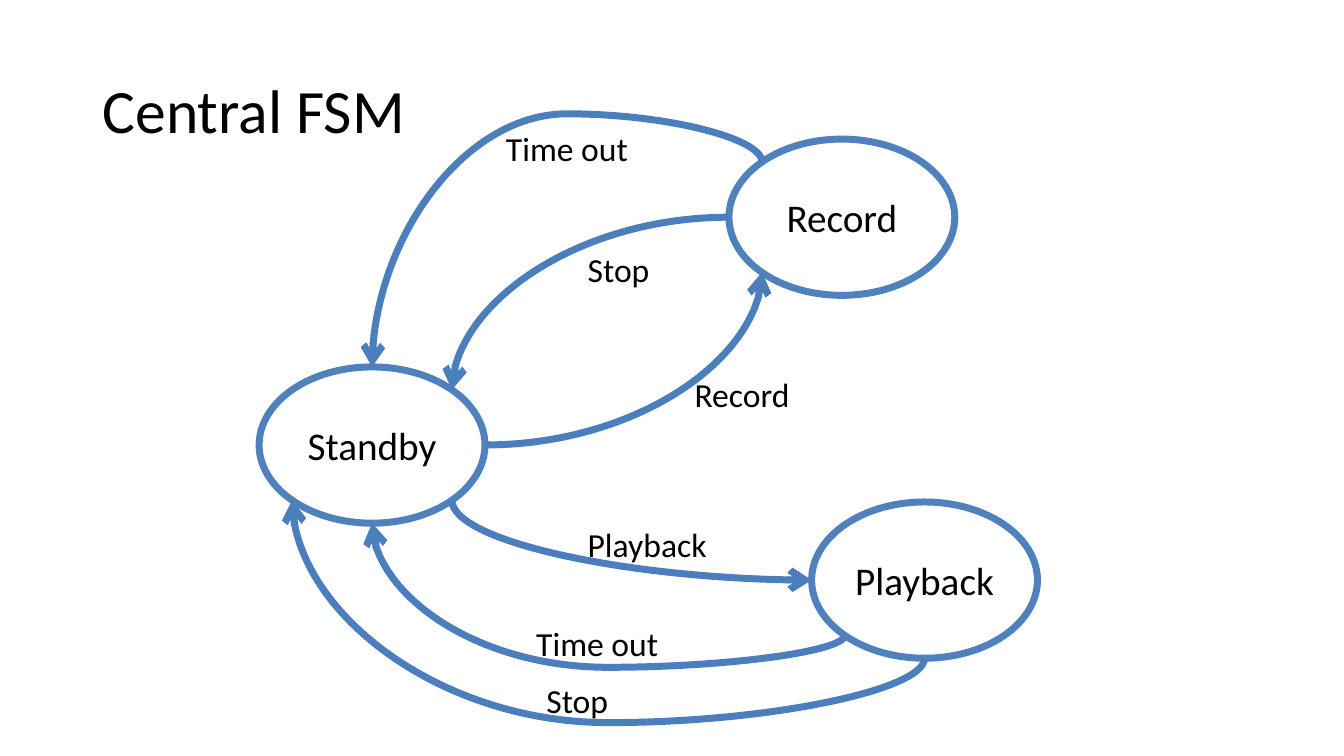
import math

import lxml.etree
import pptx
import pptx.dml.color
import pptx.enum.shapes
import pptx.enum.text
import pptx.oxml.ns
import pptx.util

Inches = pptx.util.Inches
qn = pptx.oxml.ns.qn

BLACK = pptx.dml.color.RGBColor(0x00, 0x00, 0x00)
WHITE = pptx.dml.color.RGBColor(0xFF, 0xFF, 0xFF)
STATE_BLUE = pptx.dml.color.RGBColor(0x4F, 0x81, 0xBD)
ARROW_BLUE = pptx.dml.color.RGBColor(0x4B, 0x7E, 0xBC)

STATE_WIDTH, STATE_HEIGHT = 2.24, 1.55
LINE_WIDTH = pptx.util.Pt(5)
SITES = ["top", "top left", "left", "bottom left",
         "bottom", "bottom right", "right", "top right"]

STATES = {"Standby": (2.57, 3.64), "Record": (7.23, 1.38), "Playback": (8.05, 4.98)}

TRANSITIONS = [
    ("Record", "top left", "Standby", "top", 1.13),
    ("Record", "left", "Standby", "top right", None),
    ("Playback", "bottom", "Standby", "bottom left", 7.17),
    ("Standby", "right", "Record", "bottom left", None),
    ("Standby", "bottom right", "Playback", "left", None),
    ("Playback", "bottom left", "Standby", "bottom", 6.62),
]

LABELS = [
    ("Time out", 4.92, 1.22),
    ("Stop", 5.73, 2.42),
    ("Record", 6.79, 3.66),
    ("Playback", 5.73, 5.15),
    ("Time out", 5.22, 6.13),
    ("Stop", 5.32, 6.7),
]


def write_text(shape, text, size, align=pptx.enum.text.PP_ALIGN.LEFT,
               anchor=pptx.enum.text.MSO_ANCHOR.TOP, spacing=None):
    frame = shape.text_frame
    frame.word_wrap = True
    frame.vertical_anchor = anchor
    para = frame.paragraphs[0]
    para.alignment = align
    para.line_spacing = spacing
    span = para.add_run()
    span.text = text
    span.font.name = "Calibri"
    span.font.size = pptx.util.Pt(size)
    span.font.color.rgb = BLACK


def add_text(page, box, text, **text_format):
    shape = page.shapes.add_textbox(*map(Inches, box))
    write_text(shape, text, **text_format)


def add_state(page, name, left, top):
    state = page.shapes.add_shape(
        pptx.enum.shapes.MSO_SHAPE.OVAL, Inches(left), Inches(top),
        Inches(STATE_WIDTH), Inches(STATE_HEIGHT))
    state.shadow.inherit = False
    state.fill.solid()
    state.fill.fore_color.rgb = WHITE
    state.line.color.rgb = STATE_BLUE
    state.line.width = LINE_WIDTH
    write_text(state, name, size=28, align=pptx.enum.text.PP_ALIGN.CENTER,
               anchor=pptx.enum.text.MSO_ANCHOR.MIDDLE)
    return state


def site_point(name, site):
    left, top = STATES[name]
    angle = math.radians(90 + 45 * SITES.index(site))
    return (left + STATE_WIDTH / 2 * (1 + math.cos(angle)),
            top + STATE_HEIGHT / 2 * (1 - math.sin(angle)))


def add_transition(page, states, source, source_site, target, target_site, bend):
    start_x, start_y = site_point(source, source_site)
    end_x, end_y = site_point(target, target_site)
    across, down = end_x - start_x, end_y - start_y
    width, height = abs(across), abs(down)
    flip_h = source_site not in ("left", "right")
    if flip_h:
        width, height = height, width
        rotation = 270 if down > 0 else 90
        flip_v = (across < 0) == (down > 0)
    else:
        rotation = 0 if across > 0 else 180
        flip_v = (down < 0) != (across < 0)
    left = (start_x + end_x - width) / 2
    top = (start_y + end_y - height) / 2

    arrow = page.shapes.add_connector(
        pptx.enum.shapes.MSO_CONNECTOR.CURVE, Inches(left), Inches(top),
        Inches(left + width), Inches(top + height))
    arrow.line.color.rgb = ARROW_BLUE
    arrow.line.width = LINE_WIDTH

    element = arrow._element
    properties = element.spPr
    transform = properties.find(qn("a:xfrm"))
    transform.set("rot", str(rotation * 60000))
    transform.set("flipH", str(int(flip_h)))
    transform.set("flipV", str(int(flip_v)))
    geometry = properties.find(qn("a:prstGeom"))
    geometry.set("prst", "curvedConnector2" if bend is None else "curvedConnector3")
    if bend is not None:
        share = round((bend - start_y) / down * 100000)
        guide = lxml.etree.SubElement(geometry.find(qn("a:avLst")), qn("a:gd"))
        guide.set("name", "adj1")
        guide.set("fmla", f"val {share}")
    head = lxml.etree.SubElement(properties.find(qn("a:ln")), qn("a:tailEnd"))
    head.set("type", "arrow")
    lxml.etree.SubElement(properties, qn("a:effectLst"))

    links = next(element.iter(qn("p:cNvCxnSpPr")))
    for tag, name, site in (("a:stCxn", source, source_site),
                            ("a:endCxn", target, target_site)):
        link = lxml.etree.SubElement(links, qn(tag))
        link.set("id", str(states[name].shape_id))
        link.set("idx", str(SITES.index(site)))


def add_state_machine(page):
    states = {name: add_state(page, name, *corner) for name, corner in STATES.items()}
    for transition in TRANSITIONS:
        add_transition(page, states, *transition)
    for text, left, top in LABELS:
        add_text(page, (left, top, 1.52, 0.5), text, size=24)


def main():
    deck = pptx.Presentation()
    deck.slide_width, deck.slide_height = Inches(13.33), Inches(7.5)
    page = deck.slides.add_slide(deck.slide_layouts[6])
    add_text(page, (0.92, 0.4, 11.5, 1.45), "Central FSM", size=44,
             anchor=pptx.enum.text.MSO_ANCHOR.MIDDLE, spacing=0.9)
    add_state_machine(page)
    deck.save("out.pptx")


if __name__ == "__main__":
    main()
